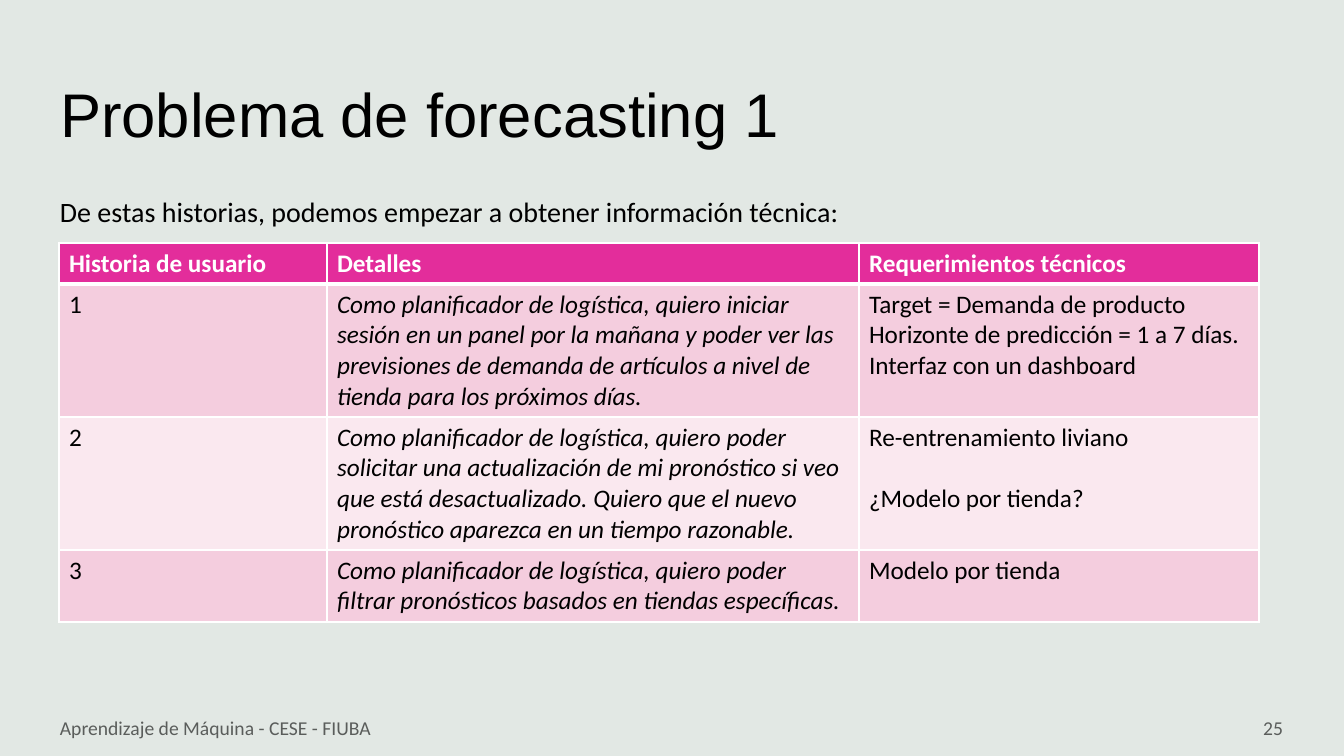
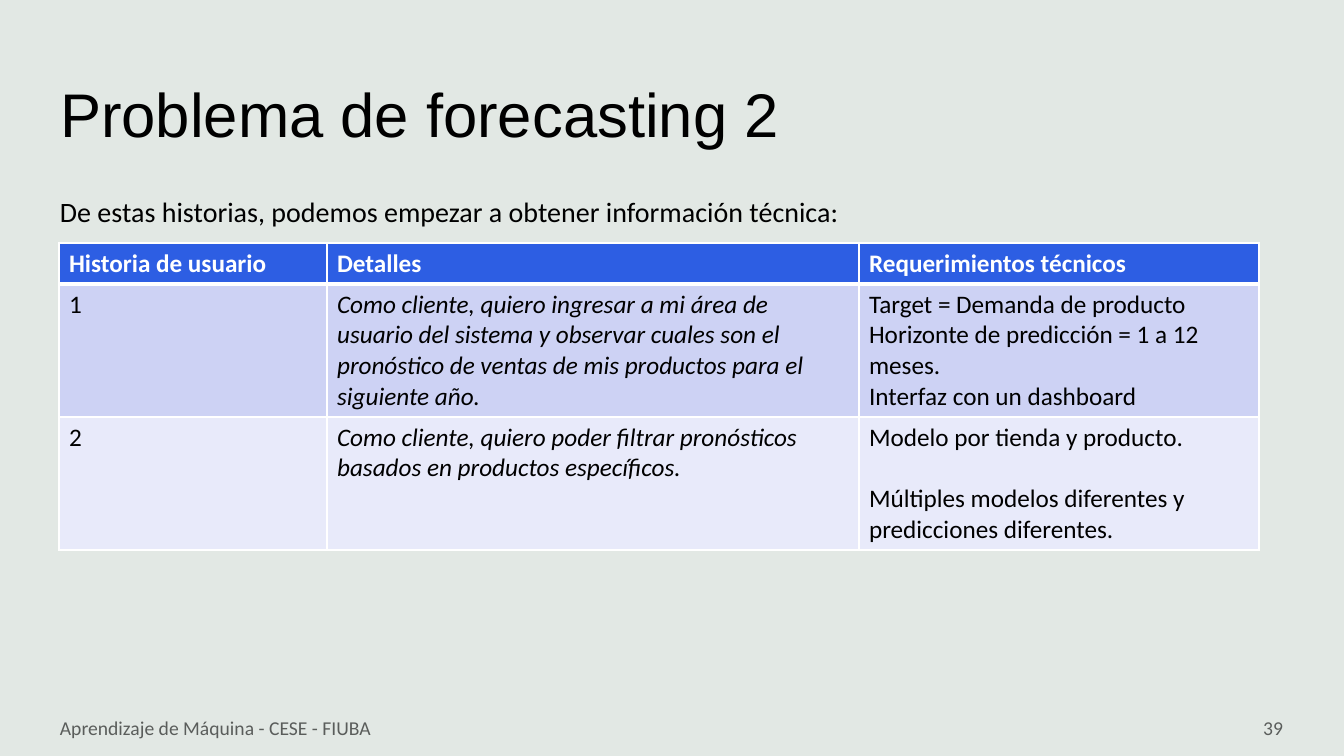
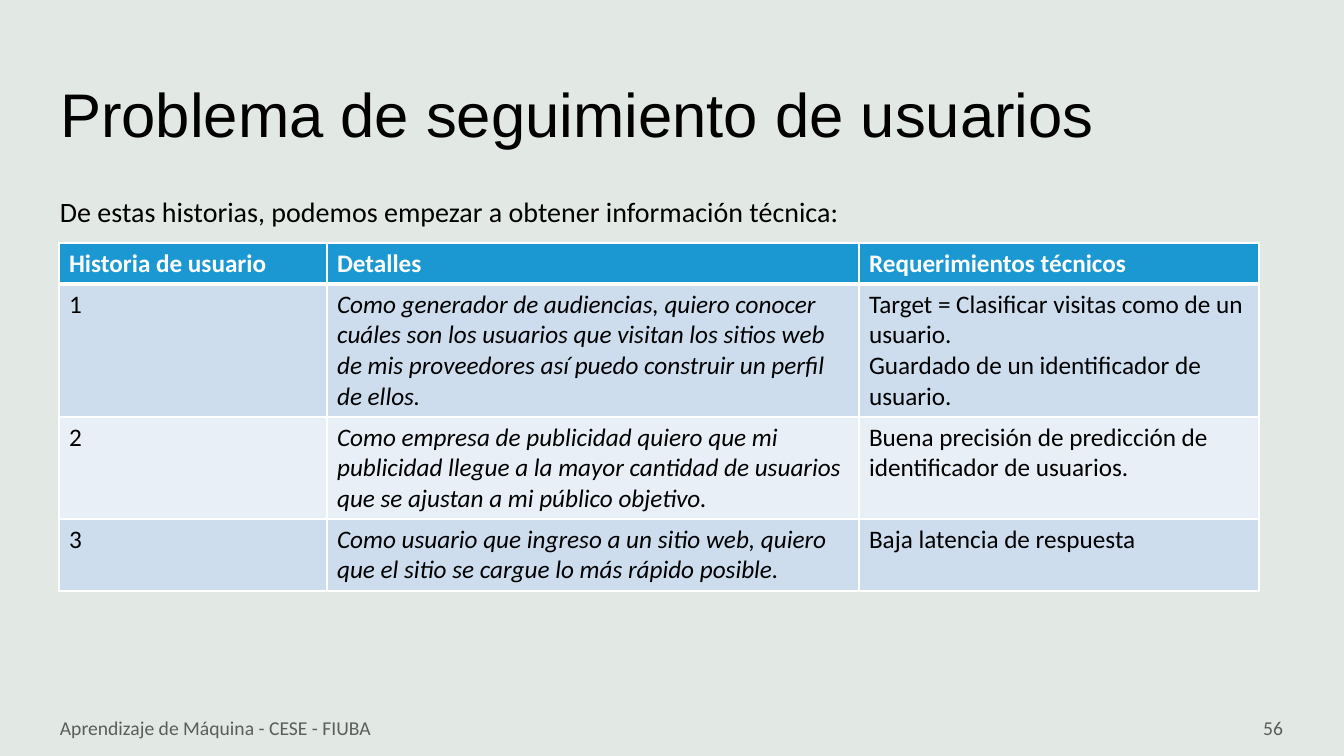
from dataclasses import dataclass

from lxml.etree import SubElement
from pptx import Presentation
from pptx.dml.color import RGBColor
from pptx.enum.text import MSO_ANCHOR as Anchor, MSO_AUTO_SIZE as AutoSize, PP_ALIGN as Align
from pptx.oxml.ns import qn
from pptx.util import Emu, Pt

PX_PER_INCH = 100.8


def px(n: int) -> Emu:
    return Emu(round(n * 914400 / PX_PER_INCH))


# Theme: colours, fonts and type sizes
@dataclass(frozen=True)
class Theme:
    background: str = "E2E8E4"
    ink: str = "000000"
    muted: str = "5A5D5B"
    white: str = "FFFFFF"
    title_font: str = "Arial"
    text_font: str = "Calibri"
    title_size: int = 44
    intro_size: int = 20
    table_size: int = 18
    footer_size: int = 14


THEME = Theme()


@dataclass(frozen=True)
class Box:
    left: int
    top: int
    width: int
    height: int

    def emu(self) -> tuple[Emu, ...]:
        return tuple(px(n) for n in (self.left, self.top, self.width, self.height))


@dataclass(frozen=True)
class Palette:
    header: str
    odd: str
    even: str


@dataclass(frozen=True)
class Story:
    lines: int  # text lines in the tallest cell
    details: str
    requirements: tuple[str, ...]
    spaced: bool = False  # blank line's worth of space between requirements


@dataclass(frozen=True)
class StorySlide:
    title: str
    page: int
    palette: Palette
    stories: tuple[Story, ...]


# Shared layout and wording
SLIDE_W, SLIDE_H = 1344, 756
TITLE = Box(50, 40, 1202, 146)
INTRO = Box(50, 186, 1243, 50)
FOOTER = Box(50, 708, 454, 40)
PAGE = Box(991, 708, 302, 40)
TABLE_LEFT, TABLE_TOP = 59, 243
COLUMNS = (268, 532, 400)
HEADERS = ("Historia de usuario", "Detalles", "Requerimientos técnicos")
INTRO_TEXT = "De estas historias, podemos empezar a obtener información técnica:"
FOOTER_TEXT = "Aprendizaje de Máquina - CESE - FIUBA"
BLANK_LINE = Pt(22)

SLIDES = (
    StorySlide("Problema de forecasting 1", 25, Palette("E32D9B", "F4CDDE", "FAE8EF"), (
        Story(4, "Como planificador de logística, quiero iniciar sesión en un panel por la mañana "
                 "y poder ver las previsiones de demanda de artículos a nivel de tienda para los "
                 "próximos días.",
              ("Target = Demanda de producto", "Horizonte de predicción = 1 a 7 días.",
               "Interfaz con un dashboard")),
        Story(4, "Como planificador de logística, quiero poder solicitar una actualización de mi "
                 "pronóstico si veo que está desactualizado. Quiero que el nuevo pronóstico "
                 "aparezca en un tiempo razonable.",
              ("Re-entrenamiento liviano", "¿Modelo por tienda?"), spaced=True),
        Story(2, "Como planificador de logística, quiero poder filtrar pronósticos basados en "
                 "tiendas específicas.",
              ("Modelo por tienda",)),
    )),
    StorySlide("Problema de forecasting 2", 39, Palette("2D5EE3", "CDD2F4", "E8EAFA"), (
        Story(4, "Como cliente, quiero ingresar a mi área de usuario del sistema y observar cuales "
                 "son el pronóstico de ventas de mis productos para el siguiente año.",
              ("Target = Demanda de producto", "Horizonte de predicción = 1 a 12 meses.",
               "Interfaz con un dashboard")),
        Story(4, "Como cliente, quiero poder filtrar pronósticos basados en productos específicos.",
              ("Modelo por tienda y producto.",
               "Múltiples modelos diferentes y predicciones diferentes."), spaced=True),
    )),
    StorySlide("Problema de seguimiento de usuarios", 56, Palette("1B98D1", "CDDDEE", "E8EFF7"), (
        Story(4, "Como generador de audiencias, quiero conocer cuáles son los usuarios que visitan "
                 "los sitios web de mis proveedores así puedo construir un perfil de ellos.",
              ("Target = Clasificar visitas como de un usuario.",
               "Guardado de un identificador de usuario.")),
        Story(3, "Como empresa de publicidad quiero que mi publicidad llegue a la mayor cantidad "
                 "de usuarios que se ajustan a mi público objetivo.",
              ("Buena precisión de predicción de identificador de usuarios.",)),
        Story(2, "Como usuario que ingreso a un sitio web, quiero que el sitio se cargue lo más "
                 "rápido posible.",
              ("Baja latencia de respuesta",)),
    )),
)


# Text
def write(p, text: str, size: int, color: str = THEME.ink, font: str = THEME.text_font,
          bold: bool = False, italic: bool = False) -> None:
    r = p.add_run()
    r.text = text
    for name, value in dict(name=font, size=Pt(size), bold=bold, italic=italic).items():
        setattr(r.font, name, value)
    r.font.color.rgb = RGBColor.from_string(color)


def add_text(s, box: Box, text: str, size: int, color: str = THEME.ink,
             anchor: Anchor = Anchor.TOP, align: Align = Align.LEFT, spacing: float = 1.0) -> None:
    tf = s.shapes.add_textbox(*box.emu()).text_frame
    tf.word_wrap = True
    tf.vertical_anchor = anchor
    p = tf.paragraphs[0]
    p.alignment, p.line_spacing = align, spacing
    write(p, text, size, color)


def set_title(s, text: str) -> None:
    sp = s.shapes.title
    sp.left, sp.top, sp.width, sp.height = TITLE.emu()
    tf = sp.text_frame
    for name, value in dict(word_wrap=True, auto_size=AutoSize.NONE,
                            vertical_anchor=Anchor.MIDDLE).items():
        setattr(tf, name, value)
    p = tf.paragraphs[0]
    p.alignment = Align.LEFT
    write(p, text, THEME.title_size, font=THEME.title_font)


# Table
def row_height(lines: int) -> int:
    return 11 + lines * 61 // 2


def set_borders(cell, top: int, bottom: int) -> None:
    tc_pr = cell._tc.get_or_add_tcPr()
    for i, (side, width) in enumerate(dict(lnL=1, lnR=1, lnT=top, lnB=bottom).items()):
        ln = tc_pr.makeelement(qn(f"a:{side}"), {"w": str(Pt(width))})
        fill = SubElement(ln, qn("a:solidFill"))
        SubElement(fill, qn("a:srgbClr"), val=THEME.white)
        tc_pr.insert(i, ln)


def fill_cell(cell, texts: tuple[str, ...], fill: str, gap: Pt = Pt(0), **style) -> None:
    cell.fill.solid()
    cell.fill.fore_color.rgb = RGBColor.from_string(fill)
    tf = cell.text_frame
    for i, text in enumerate(texts):
        p = tf.add_paragraph() if i else tf.paragraphs[0]
        if i and gap:
            p.space_before = gap
        write(p, text, THEME.table_size, **style)


def add_story_table(s, stories: tuple[Story, ...], palette: Palette) -> None:
    heights = [row_height(1)] + [row_height(story.lines) for story in stories]
    box = Box(TABLE_LEFT, TABLE_TOP, sum(COLUMNS), sum(heights))
    table = s.shapes.add_table(len(heights), len(COLUMNS), *box.emu()).table
    for column, width in zip(table.columns, COLUMNS):
        column.width = px(width)
    for row, height in zip(table.rows, heights):
        row.height = px(height)

    for col, header in enumerate(HEADERS):
        fill_cell(table.cell(0, col), (header,), palette.header, color=THEME.white, bold=True)
    for n, story in enumerate(stories, 1):
        fill = palette.odd if n % 2 else palette.even
        number, details, requirements = table.rows[n].cells
        fill_cell(number, (str(n),), fill)
        fill_cell(details, (story.details,), fill, italic=True)
        fill_cell(requirements, story.requirements, fill,
                  gap=BLANK_LINE if story.spaced else Pt(0))

    # Thick rule under the header row
    for n, row in enumerate(table.rows):
        for cell in row.cells:
            set_borders(cell, top=3 if n == 1 else 1, bottom=3 if n == 0 else 1)


# Slides
def add_story_slide(prs, data: StorySlide) -> None:
    s = prs.slides.add_slide(prs.slide_layouts[5])
    set_title(s, data.title)
    add_text(s, FOOTER, FOOTER_TEXT, THEME.footer_size, THEME.muted, Anchor.MIDDLE)
    add_text(s, PAGE, str(data.page), THEME.footer_size, THEME.muted, Anchor.MIDDLE, Align.RIGHT)
    add_text(s, INTRO, INTRO_TEXT, THEME.intro_size, spacing=1.1)
    add_story_table(s, data.stories, data.palette)


def main() -> None:
    prs = Presentation()
    prs.slide_width, prs.slide_height = px(SLIDE_W), px(SLIDE_H)
    background = prs.slide_master.background.fill
    background.solid()
    background.fore_color.rgb = RGBColor.from_string(THEME.background)
    for data in SLIDES:
        add_story_slide(prs, data)
    prs.save("out.pptx")


if __name__ == "__main__":
    main()
